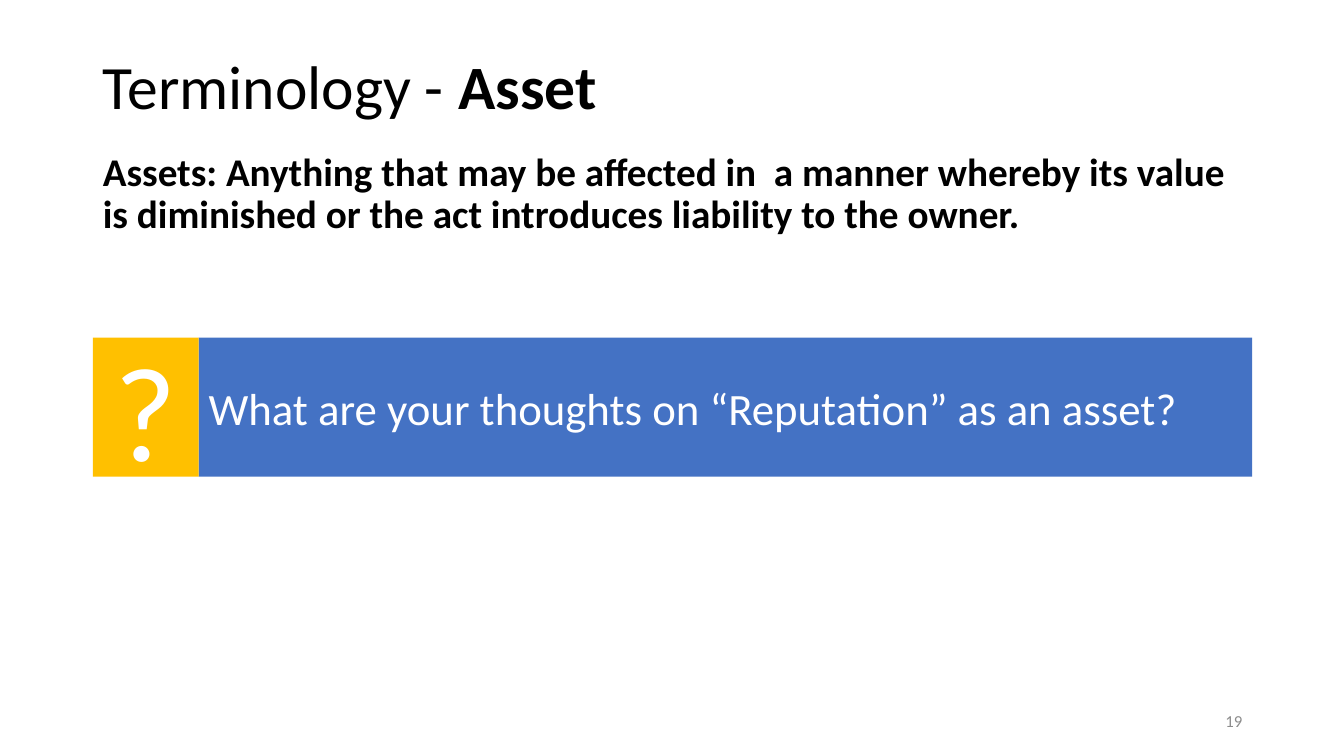
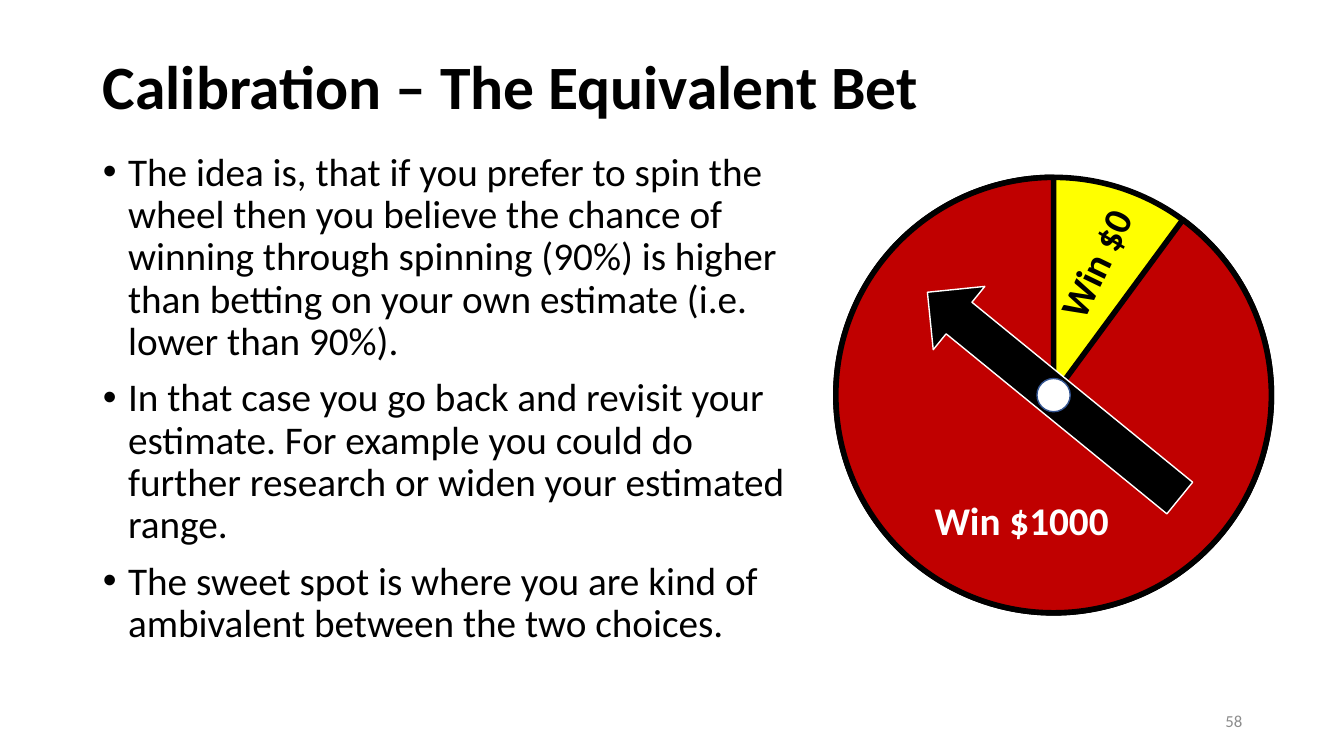
from dataclasses import dataclass

from lxml import etree
from pptx import Presentation
from pptx import util as u
from pptx.dml.color import RGBColor
from pptx.enum import shapes, text
from pptx.oxml import ns

Inches, Pt = u.Inches, u.Pt
SHAPE, ALIGN, ANCHOR = shapes.MSO_SHAPE, text.PP_ALIGN, text.MSO_ANCHOR


@dataclass(frozen=True)
class Theme:
    font: str = "Calibri"
    ink: str = "000000"
    paper: str = "FFFFFF"
    blue: str = "4472C4"
    gold: str = "FFC000"
    red: str = "C00000"
    yellow: str = "FFFF00"
    hub_edge: str = "325491"
    muted: str = "8C8C8C"
    title: int = 44
    body: int = 28
    question: int = 32
    mark: int = 96
    number: int = 12


THEME = Theme()
LEFT, CONTENT_WIDTH = 0.92, 11.5
TITLE_BOX = (LEFT, 0.4, CONTENT_WIDTH, 0.98)
BODY_TOP, BODY_HEIGHT = 1.46, 5.3
NUMBER_BOX = (9.42, 6.95, 3, 0.4)
BULLET_INDENT = 0.25

ASSET = {
    "title": [("Terminology - ", False), ("Asset", True)],
    "body": ["Assets: Anything that may be affected in  a manner whereby its value "
             "is diminished or the act introduces liability to the owner."],
    "body_width": CONTENT_WIDTH,
    "bold": True,
    "bulleted": False,
    "number": "19",
}
QUESTION = "What are your thoughts on “Reputation” as an asset?"
BAND_TOP, BAND_HEIGHT, MARK_WIDTH = 3.35, 1.38, 1.05

BET = {
    "title": [("Calibration – The Equivalent Bet", True)],
    "body": [
        "The idea is, that if you prefer to spin the wheel then you believe the chance of "
        "winning through spinning (90%) is higher than betting on your own estimate "
        "(i.e. lower than 90%).",
        "In that case you go back and revisit your estimate. For example you could do "
        "further research or widen your estimated range.",
        "The sweet spot is where you are kind of ambivalent between the two choices.",
    ],
    "body_width": 6.99,
    "bold": False,
    "bulleted": True,
    "number": "58",
}
WHEEL_CENTRE = (10.45, 3.92)
WHEEL_SIZE = 4.32
# preset, width, height, fill, line colour, line width, rotation
WHEEL_PARTS = [
    (SHAPE.OVAL, WHEEL_SIZE, WHEEL_SIZE, THEME.yellow, THEME.ink, 4, 0),
    (SHAPE.PIE, WHEEL_SIZE, WHEEL_SIZE, THEME.red, THEME.ink, 4, 0),
    (SHAPE.UP_ARROW, 0.81, 3.23, THEME.ink, THEME.paper, 1, 309.2),
    (SHAPE.OVAL, 0.33, 0.33, THEME.paper, THEME.hub_edge, 1, 0),
]
RED_SECTOR = (306.37, 270)  # start and end, degrees clockwise from the right
WHEEL_LABELS = [
    ("Win $1000", (9.17, 4.87, 1.95, 0.57), THEME.paper, 0),
    ("Win $0", (10.19, 2.32, 1.35, 0.57), THEME.ink, 295.7),
]


def apply(target, **values):
    for name, value in values.items():
        setattr(target, name, value)


def place(shape, box):
    apply(shape, **dict(zip(("left", "top", "width", "height"), map(Inches, box))))


def write(paragraph, runs, size, colour, **layout):
    """Fill a paragraph with (text, bold) runs in the theme font."""
    apply(paragraph, **layout)
    for words, bold in runs:
        run = paragraph.add_run()
        run.text = words
        apply(run.font, name=THEME.font, size=Pt(size), bold=bold)
        run.font.color.rgb = RGBColor.from_string(colour)


def set_bullet(paragraph, bulleted):
    props = paragraph._p.get_or_add_pPr()
    indent = Inches(BULLET_INDENT) if bulleted else 0
    props.set("marL", str(indent))
    props.set("indent", str(-indent))
    if bulleted:
        etree.SubElement(props, ns.qn("a:buFont")).set("typeface", "Arial")
        etree.SubElement(props, ns.qn("a:buChar")).set("char", "•")
    else:
        etree.SubElement(props, ns.qn("a:buNone"))


def add_filled(parent, preset, box, fill, line=None, line_width=1):
    shape = parent.add_shape(preset, *map(Inches, box))
    shape.shadow.inherit = False
    shape.fill.solid()
    shape.fill.fore_color.rgb = RGBColor.from_string(fill)
    if line:
        shape.line.color.rgb = RGBColor.from_string(line)
        shape.line.width = Pt(line_width)
    else:
        shape.line.fill.background()
    return shape


def add_content_slide(deck, content):
    """Add a slide with the shared title, body and slide number."""
    slide = deck.slides.add_slide(deck.slide_layouts[1])
    title, body = slide.placeholders
    place(title, TITLE_BOX)
    place(body, (LEFT, BODY_TOP, content["body_width"], BODY_HEIGHT))
    for holder, anchor in ((title, ANCHOR.MIDDLE), (body, ANCHOR.TOP)):
        apply(holder.text_frame, vertical_anchor=anchor, word_wrap=True,
              auto_size=text.MSO_AUTO_SIZE.NONE)
    write(title.text_frame.paragraphs[0], content["title"], THEME.title, THEME.ink,
          alignment=ALIGN.LEFT, line_spacing=0.9)

    frame = body.text_frame
    for index, words in enumerate(content["body"]):
        paragraph = frame.add_paragraph() if index else frame.paragraphs[0]
        set_bullet(paragraph, content["bulleted"])
        write(paragraph, [(words, content["bold"])], THEME.body, THEME.ink,
              line_spacing=0.9, space_before=Pt(10 if index else 0))

    number = slide.shapes.add_textbox(*map(Inches, NUMBER_BOX)).text_frame
    apply(number, word_wrap=True, vertical_anchor=ANCHOR.MIDDLE)
    write(number.paragraphs[0], [(content["number"], False)], THEME.number, THEME.muted,
          alignment=ALIGN.RIGHT)
    return slide


def add_question_band(slide):
    question_left = LEFT + MARK_WIDTH
    parts = [
        (question_left, CONTENT_WIDTH - MARK_WIDTH, THEME.blue, QUESTION,
         THEME.question, ALIGN.LEFT),
        (LEFT, MARK_WIDTH, THEME.gold, "?", THEME.mark, ALIGN.CENTER),
    ]
    for left, width, fill, words, size, alignment in parts:
        box = (left, BAND_TOP, width, BAND_HEIGHT)
        frame = add_filled(slide.shapes, SHAPE.RECTANGLE, box, fill).text_frame
        apply(frame, word_wrap=True, vertical_anchor=ANCHOR.MIDDLE)
        write(frame.paragraphs[0], [(words, False)], size, THEME.paper, alignment=alignment)


def add_wheel(slide):
    wheel = slide.shapes.add_group_shape().shapes
    x, y = WHEEL_CENTRE
    for preset, width, height, fill, line, line_width, rotation in WHEEL_PARTS:
        box = (x - width / 2, y - height / 2, width, height)
        part = add_filled(wheel, preset, box, fill, line, line_width)
        part.rotation = rotation
        if preset == SHAPE.PIE:
            for index, degrees in enumerate(RED_SECTOR):
                part.adjustments[index] = degrees * 0.6  # 60000ths over 100000
    for words, box, colour, rotation in WHEEL_LABELS:
        label = wheel.add_textbox(*map(Inches, box))
        label.rotation = rotation
        apply(label.text_frame, word_wrap=False,
              auto_size=text.MSO_AUTO_SIZE.SHAPE_TO_FIT_TEXT)
        write(label.text_frame.paragraphs[0], [(words, True)], THEME.body, colour)


def main():
    deck = Presentation()
    apply(deck, slide_width=Inches(13.33), slide_height=Inches(7.5))
    add_question_band(add_content_slide(deck, ASSET))
    add_wheel(add_content_slide(deck, BET))
    deck.save("out.pptx")


if __name__ == "__main__":
    main()
